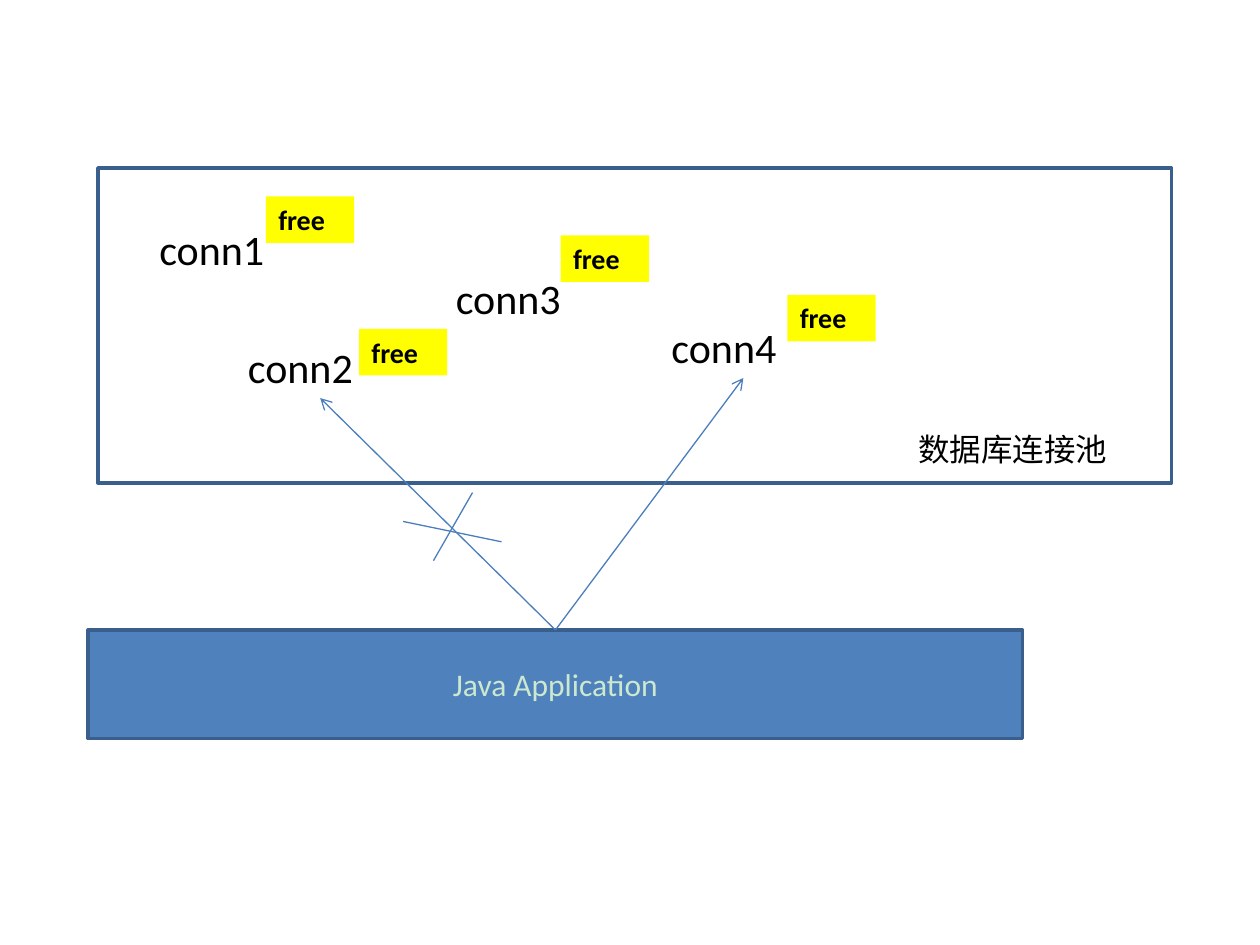
import pptx
import pptx.dml.color
import pptx.enum.shapes
import pptx.enum.text
import pptx.oxml.ns
import pptx.util
from dataclasses import dataclass
from lxml import etree

Pt = pptx.util.Pt
RGB = pptx.dml.color.RGBColor.from_string
ALIGN = pptx.enum.text.PP_ALIGN
ANCHOR = pptx.enum.text.MSO_ANCHOR
RECT = pptx.enum.shapes.MSO_SHAPE.RECTANGLE
STRAIGHT = pptx.enum.shapes.MSO_CONNECTOR.STRAIGHT


@dataclass(frozen=True)
class Theme:
    latin: str = "Calibri"
    cjk: str = "Noto Sans CJK SC"
    ink: str = "000000"
    pale: str = "CCE8CF"
    bar: str = "4F81BD"
    border: str = "3A5F8C"
    link: str = "4B7EBC"
    tag: str = "FFFF00"
    conn_size: int = 24
    label_size: int = 18
    tag_size: int = 16
    border_width: float = 2
    link_width: float = 0.75


T = Theme()

# name, offset in the pool, offset of its tag from the name
CONNECTIONS = [
    ("conn1", (28, 28), (68, -11.7)),
    ("conn2", (78.6, 95.5), (70.6, -3.5)),
    ("conn3", (197.4, 56), (67, -17.4)),
    ("conn4", (320.6, 84), (73.4, -11.5)),
]


def write(sp, text, size, font=T.latin, color=T.ink, bold=False,
          align=ALIGN.LEFT, anchor=ANCHOR.TOP):
    tf = sp.text_frame
    tf.word_wrap = True
    tf.vertical_anchor = anchor
    p = tf.paragraphs[0]
    p.alignment = align
    r = p.add_run()
    r.text = text
    r.font.name = font
    r.font.size = Pt(size)
    r.font.bold = bold
    r.font.color.rgb = RGB(color)
    if font == T.cjk:
        ea = etree.SubElement(r.font._element, pptx.oxml.ns.qn("a:ea"))
        ea.set("typeface", font)


def label(s, x, y, w, h, text, size, **fmt):
    write(s.shapes.add_textbox(Pt(x), Pt(y), Pt(w), Pt(h)), text, size, **fmt)


def rect(s, x, y, w, h, fill=None, line=None):
    sp = s.shapes.add_shape(RECT, Pt(x), Pt(y), Pt(w), Pt(h))
    sp.shadow.inherit = False
    if fill:
        sp.fill.solid()
        sp.fill.fore_color.rgb = RGB(fill)
    else:
        sp.fill.background()
    if line:
        sp.line.color.rgb = RGB(line)
        sp.line.width = Pt(T.border_width)
    else:
        sp.line.fill.background()
    return sp


def link(s, start, end, arrow=False):
    c = s.shapes.add_connector(STRAIGHT, *(Pt(v) for v in (*start, *end)))
    c.line.color.rgb = RGB(T.link)
    c.line.width = Pt(T.link_width)
    qn = pptx.oxml.ns.qn
    if arrow:
        ln = c.line._get_or_add_ln()
        etree.SubElement(ln, qn("a:tailEnd")).set("type", "arrow")
    etree.SubElement(c._element.spPr, qn("a:effectLst"))
    return c


def connection(s, x, y, name, tag_offset):
    """A connection name with its yellow state tag."""
    label(s, x, y, 96, 36, name, T.conn_size)
    dx, dy = tag_offset
    tag = rect(s, x + dx, y + dy, 50.4, 26.6, fill=T.tag)
    write(tag, "free", T.tag_size, bold=True)


def pool(s, x, y, w, h):
    rect(s, x, y, w, h, line=T.border)
    label(s, x + w - 152, y + h - 34, 146, 29, "数据库连接池",
          T.label_size, font=T.cjk)
    for name, (dx, dy), tag_offset in CONNECTIONS:
        connection(s, x + dx, y + dy, name, tag_offset)


def application(s, x, y, w, h):
    sp = rect(s, x, y, w, h, fill=T.bar, line=T.border)
    write(sp, "Java Application", T.label_size, color=T.pale,
          align=ALIGN.CENTER, anchor=ANCHOR.MIDDLE)
    return sp


def requests(s, app, x, y):
    """Arrows from the application's top at (x, y); the left one is crossed out."""
    for dx, dy in ((-134.4, -132.5), (107.4, -144)):
        link(s, (x, y), (x + dx, y + dy), arrow=True).begin_connect(app, 0)
    link(s, (x - 47.4, y - 78.5), (x - 69.7, y - 39.6))
    link(s, (x - 87, y - 62), (x - 30.8, y - 50.4))


def main():
    prs = pptx.Presentation()
    prs.slide_width, prs.slide_height = Pt(720), Pt(540)
    s = prs.slides.add_slide(prs.slide_layouts[6])
    pool(s, 56, 96, 613.5, 180)
    x, y, w, h = 50.4, 360, 534, 62
    app = application(s, x, y, w, h)
    requests(s, app, x + w / 2, y)
    prs.save("out.pptx")


if __name__ == "__main__":
    main()
